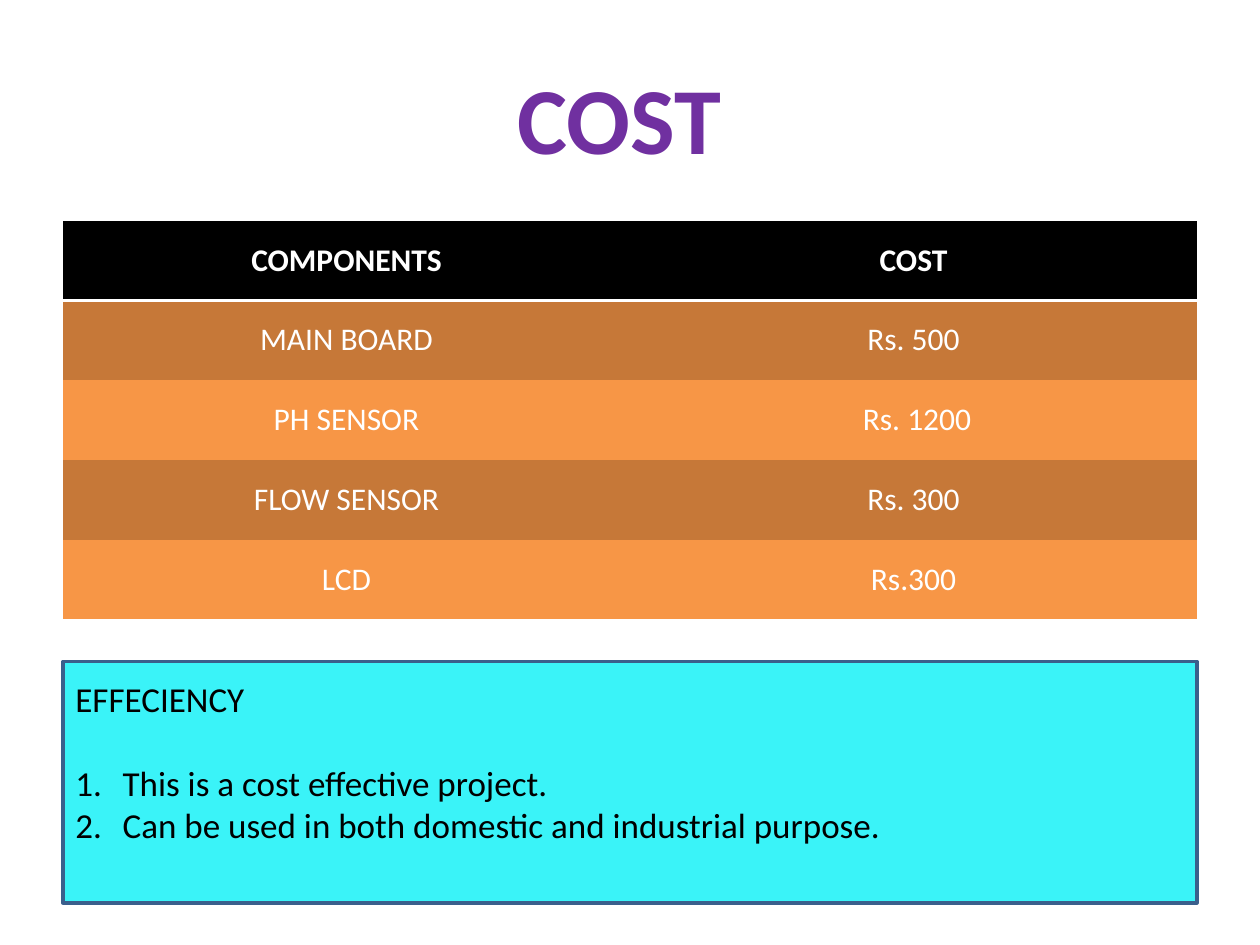
"""Build the project cost slide."""
from lxml import etree
from pptx import Presentation
from pptx.dml.color import RGBColor
from pptx.enum import shapes, text
from pptx.oxml import ns
from pptx.util import Pt

WHITE = RGBColor(0xFF, 0xFF, 0xFF)
BLACK = RGBColor(0, 0, 0)
PURPLE = RGBColor(0x70, 0x30, 0xA0)
BROWN = RGBColor(0xC6, 0x78, 0x38)
ORANGE = RGBColor(0xF7, 0x96, 0x46)
CYAN = RGBColor(0x3A, 0xF3, 0xF8)
NAVY = RGBColor(0x3A, 0x5F, 0x8C)

LEFT, WIDTH = 36, 648
ROW_HEIGHT = 45.6
NO_STYLE = "{2D5ABB26-0587-4C30-8999-92F81FD0307C}"
COSTS = [
    ("COMPONENTS", "COST"),
    ("MAIN BOARD", "Rs. 500"),
    ("PH SENSOR", " Rs. 1200"),
    ("FLOW SENSOR", "Rs. 300"),
    ("LCD", "Rs.300"),
]
POINTS = [
    "This is a cost effective project.",
    "Can be used in both domestic and industrial purpose.",
]


def format_runs(p, size, color, bold=False, align=text.PP_ALIGN.CENTER):
    p.alignment = align
    for r in p.runs:
        r.font.name = "Calibri"
        r.font.size = Pt(size)
        r.font.bold = bold
        r.font.color.rgb = color


def add_title(s, title):
    sp = s.shapes.add_textbox(Pt(LEFT), Pt(21.6), Pt(WIDTH), Pt(90))
    tf = sp.text_frame
    tf.word_wrap = True
    tf.vertical_anchor = text.MSO_ANCHOR.MIDDLE
    tf.text = title
    format_runs(tf.paragraphs[0], 54, PURPLE, bold=True)


def add_bottom_border(cell, color, width):
    tc_pr = cell._tc.get_or_add_tcPr()
    ln = etree.Element(ns.qn("a:lnB"), w=str(Pt(width)))
    fill = etree.SubElement(ln, ns.qn("a:solidFill"))
    etree.SubElement(fill, ns.qn("a:srgbClr"), val=str(color))
    tc_pr.insert(0, ln)


def add_cost_table(s, rows):
    frame = s.shapes.add_table(len(rows), len(rows[0]), Pt(LEFT), Pt(126),
                               Pt(WIDTH), Pt(ROW_HEIGHT * len(rows)))
    table = frame.table
    table._tbl.tblPr.find(ns.qn("a:tableStyleId")).text = NO_STYLE
    for i, row in enumerate(rows):
        header = i == 0
        for j, value in enumerate(row):
            cell = table.cell(i, j)
            cell.text = value
            cell.vertical_anchor = text.MSO_ANCHOR.MIDDLE
            cell.fill.solid()
            cell.fill.fore_color.rgb = BLACK if header else (ORANGE, BROWN)[i % 2]
            format_runs(cell.text_frame.paragraphs[0], 18, WHITE, bold=header)
            if header:
                add_bottom_border(cell, WHITE, 2)


def number_paragraph(p):
    p_pr = p._p.get_or_add_pPr()
    p_pr.set("marL", str(Pt(27)))
    p_pr.set("indent", str(Pt(-27)))
    etree.SubElement(p_pr, ns.qn("a:buFont"), typeface="+mj-lt")
    etree.SubElement(p_pr, ns.qn("a:buAutoNum"), type="arabicPeriod")


def add_panel(s, heading, points):
    sp = s.shapes.add_shape(shapes.MSO_SHAPE.RECTANGLE,
                            Pt(LEFT), Pt(378), Pt(WIDTH), Pt(138))
    sp.shadow.inherit = False
    sp.fill.solid()
    sp.fill.fore_color.rgb = CYAN
    sp.line.color.rgb = NAVY
    sp.line.width = Pt(2)
    tf = sp.text_frame
    tf.word_wrap = True
    tf.vertical_anchor = text.MSO_ANCHOR.TOP
    tf.margin_top = Pt(9.4)
    tf.text = "\n".join([heading, *points])
    for p in tf.paragraphs:
        format_runs(p, 20, BLACK, align=text.PP_ALIGN.LEFT)
    tf.paragraphs[0].space_after = Pt(23.5)
    for p in tf.paragraphs[1:]:
        number_paragraph(p)


def main():
    prs = Presentation()
    prs.slide_width, prs.slide_height = Pt(720), Pt(540)
    s = prs.slides.add_slide(prs.slide_layouts[6])
    add_title(s, "COST ")
    add_cost_table(s, COSTS)
    add_panel(s, "EFFECIENCY", POINTS)
    prs.save("out.pptx")


if __name__ == "__main__":
    main()
